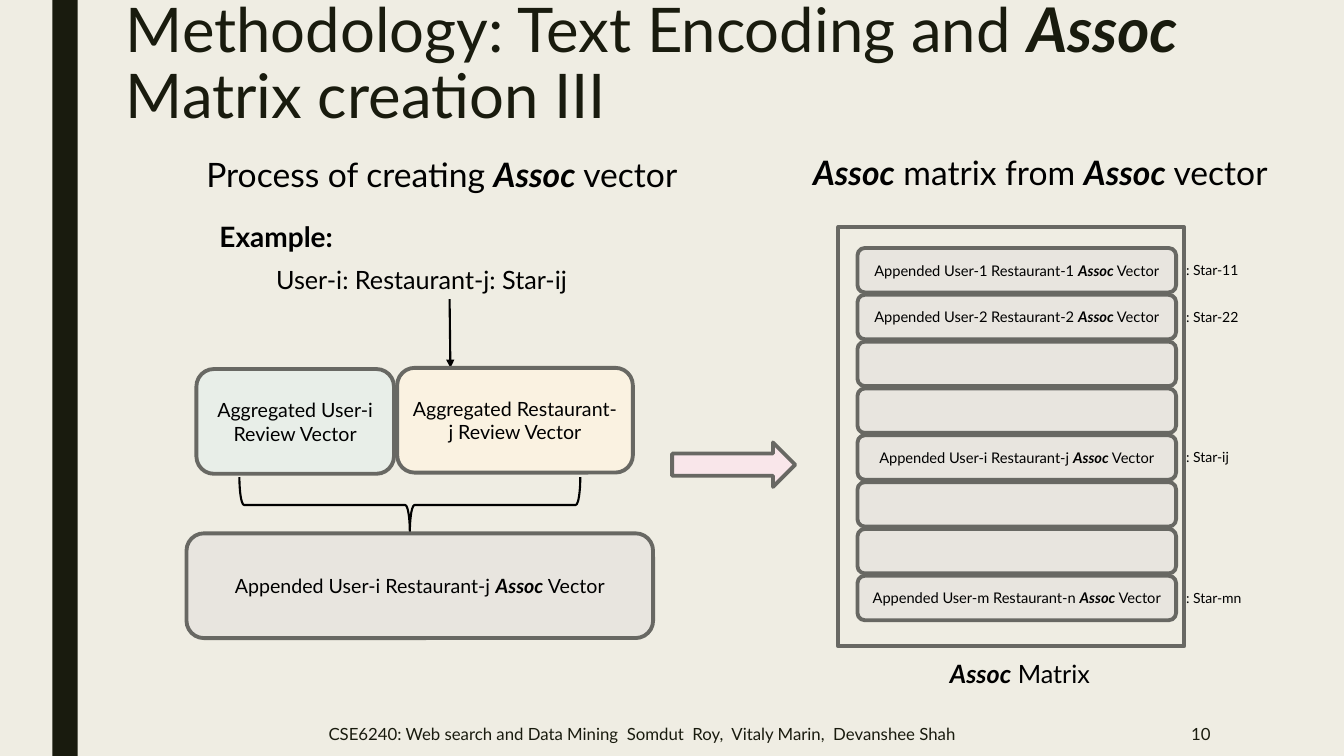
from lxml import etree
from pptx import Presentation
from pptx.dml.color import RGBColor
from pptx.enum.shapes import MSO_CONNECTOR, MSO_SHAPE
from pptx.enum.text import MSO_ANCHOR, PP_ALIGN
from pptx.oxml.ns import qn
from pptx.util import Cm, Pt

BACKGROUND = RGBColor(0xEF, 0xED, 0xE3)
DARK = RGBColor(0x19, 0x1B, 0x0E)
BLACK = RGBColor(0x00, 0x00, 0x00)
OUTLINE = RGBColor(0x68, 0x68, 0x63)
GREEN = RGBColor(0xE8, 0xEE, 0xE8)
CREAM = RGBColor(0xFA, 0xF2, 0xE1)
GREY = RGBColor(0xE8, 0xE5, 0xDF)
PINK = RGBColor(0xF9, 0xE6, 0xEA)

MATRIX_ROWS = [
    ("Appended User-1 Restaurant-1 *Assoc* Vector", ": Star-11"),
    ("Appended User-2 Restaurant-2 *Assoc* Vector", ": Star-22"),
    ("", ""),
    ("", ""),
    ("Appended User-i Restaurant-j *Assoc* Vector", ": Star-ij"),
    ("", ""),
    ("", ""),
    ("Appended User-m Restaurant-n *Assoc* Vector", ": Star-mn"),
]
ROW_PITCH = 1.18


def set_values(target, values):
    """Set each attribute of the target from a dict of format values."""
    for name, value in values.items():
        setattr(target, name, value)


def write_text(shape, text, size, color=BLACK, bold=False,
               anchor=MSO_ANCHOR.TOP, **paragraph_format):
    """Write one paragraph; parts between asterisks are bold italic."""
    set_values(shape.text_frame, {"word_wrap": True, "vertical_anchor": anchor})
    paragraph = shape.text_frame.paragraphs[0]
    set_values(paragraph, paragraph_format)
    for index, part in enumerate(text.split("*")):
        if part:
            run = paragraph.add_run()
            run.text = part
            emphasis = index % 2 == 1
            set_values(run.font, {"name": "Lato", "size": Pt(size),
                                  "bold": bold or emphasis, "italic": emphasis})
            run.font.color.rgb = color


def add_text(slide, box, text, size, **text_format):
    """Add a text box in the given box."""
    text_box = slide.shapes.add_textbox(*map(Cm, box))
    write_text(text_box, text, size, **text_format)


def add_figure(slide, kind, box, fill=None, line=OUTLINE, width=2.75):
    """Add a preset shape with its fill and outline."""
    shape = slide.shapes.add_shape(kind, *map(Cm, box))
    shape.shadow.inherit = False
    if fill is None:
        shape.fill.background()
    else:
        shape.fill.solid()
        shape.fill.fore_color.rgb = fill
    if line is None:
        shape.line.fill.background()
    else:
        shape.line.color.rgb = line
        shape.line.width = Pt(width)
    return shape


def add_vector(slide, box, fill, text, size):
    """Add a rounded vector box with centred text."""
    shape = add_figure(slide, MSO_SHAPE.ROUNDED_RECTANGLE, box, fill)
    if text:
        write_text(shape, text, size, anchor=MSO_ANCHOR.MIDDLE,
                   alignment=PP_ALIGN.CENTER)


def add_arrow_line(slide, ends):
    """Add a thin line with a triangle at its end."""
    connector = slide.shapes.add_connector(MSO_CONNECTOR.STRAIGHT, *map(Cm, ends))
    connector.line.color.rgb = BLACK
    connector.line.width = Pt(1.5)
    line = connector.line._get_or_add_ln()
    etree.SubElement(line, qn("a:tailEnd"), type="triangle")
    etree.SubElement(connector._element.spPr, qn("a:effectLst"))


def build_frame(slide, width, height):
    """Place the background, side bar, title and footer."""
    slide.background.fill.solid()
    slide.background.fill.fore_color.rgb = BACKGROUND
    add_figure(slide, MSO_SHAPE.RECTANGLE, (1.32, 0, 0.64, height), DARK, None)
    add_text(slide, (2.92, -0.13, width - 3.69, 4.06),
             "Methodology: Text Encoding and *Assoc* Matrix creation III", 44,
             color=DARK, line_spacing=0.89)
    footer_top = height - 1.12
    add_text(slide, (8.03, footer_top, 17.45, 1.12),
             "CSE6240: Web search and Data Mining  Somdut  Roy,  "
             "Vitaly Marin,  Devanshee Shah", 12,
             color=DARK, anchor=MSO_ANCHOR.MIDDLE)
    add_text(slide, (26.31, footer_top, 4.45, 1.12), "10", 12,
             color=DARK, anchor=MSO_ANCHOR.MIDDLE, alignment=PP_ALIGN.RIGHT)


def build_process(slide, left, top, width):
    """Place the steps that create one vector."""
    add_text(slide, (left + 0.25, top, 13.92, 1.27),
             "Process of creating *Assoc* vector", 24)
    add_text(slide, (left + 0.58, top + 1.65, 12.73, 1.12), "Example:", 20, bold=True)
    add_text(slide, (left + 2.01, top + 2.77, 9.27, 1.02),
             "User-i: Restaurant-j: Star-ij", 18)
    add_arrow_line(slide, (left + 6.63, top + 3.78, left + 6.65, top + 5.51))
    add_vector(slide, (left + 0.25, top + 5.54, 4.98, 2.64), GREEN,
               "Aggregated User-i Review Vector", 14)
    add_vector(slide, (left + 5.31, top + 5.51, 5.94, 2.64), CREAM,
               "Aggregated Restaurant-j Review Vector", 14)
    brace = add_figure(slide, MSO_SHAPE.LEFT_BRACE,
                       (left + 4.93, top + 4.67, 1.4, 8.59), line=BLACK, width=1.5)
    brace.rotation = 270
    add_vector(slide, (left, top + 9.68, width, 2.64), GREY,
               "Appended User-i Restaurant-j *Assoc* Vector", 14)


def build_matrix(slide, left, top, width):
    """Place the matrix with its stacked vectors and star labels."""
    for index, (vector, star) in enumerate(MATRIX_ROWS):
        row_top = top + 2.54 + index * ROW_PITCH
        add_vector(slide, (left + 1.37, row_top, 8.03, 1.12), GREY, vector, 10.5)
        if star:
            add_text(slide, (left + 9.4, row_top + 0.21, 3.33, 0.69), star, 10)
    add_figure(slide, MSO_SHAPE.RECTANGLE, (left + 0.89, top + 2.01, 8.71, 10.57))
    add_text(slide, (left + 3.45, top + 12.75, 5.59, 1.02), "*Assoc* Matrix", 18)
    add_text(slide, (left, top, width, 1.27),
             "*Assoc* matrix from *Assoc* vector", 24)


def main():
    """Build the slide and save it."""
    presentation = Presentation()
    set_values(presentation, {"slide_width": Cm(33.87), "slide_height": Cm(19.05)})
    slide = presentation.slides.add_slide(presentation.slide_layouts[6])
    build_frame(slide, 33.87, 19.05)
    build_process(slide, 4.7, 3.76, 11.76)
    build_matrix(slide, 20.24, 3.71, 13.92)
    add_figure(slide, MSO_SHAPE.RIGHT_ARROW, (16.94, 11.15, 3.1, 1.12), PINK)
    presentation.save("out.pptx")


if __name__ == "__main__":
    main()
